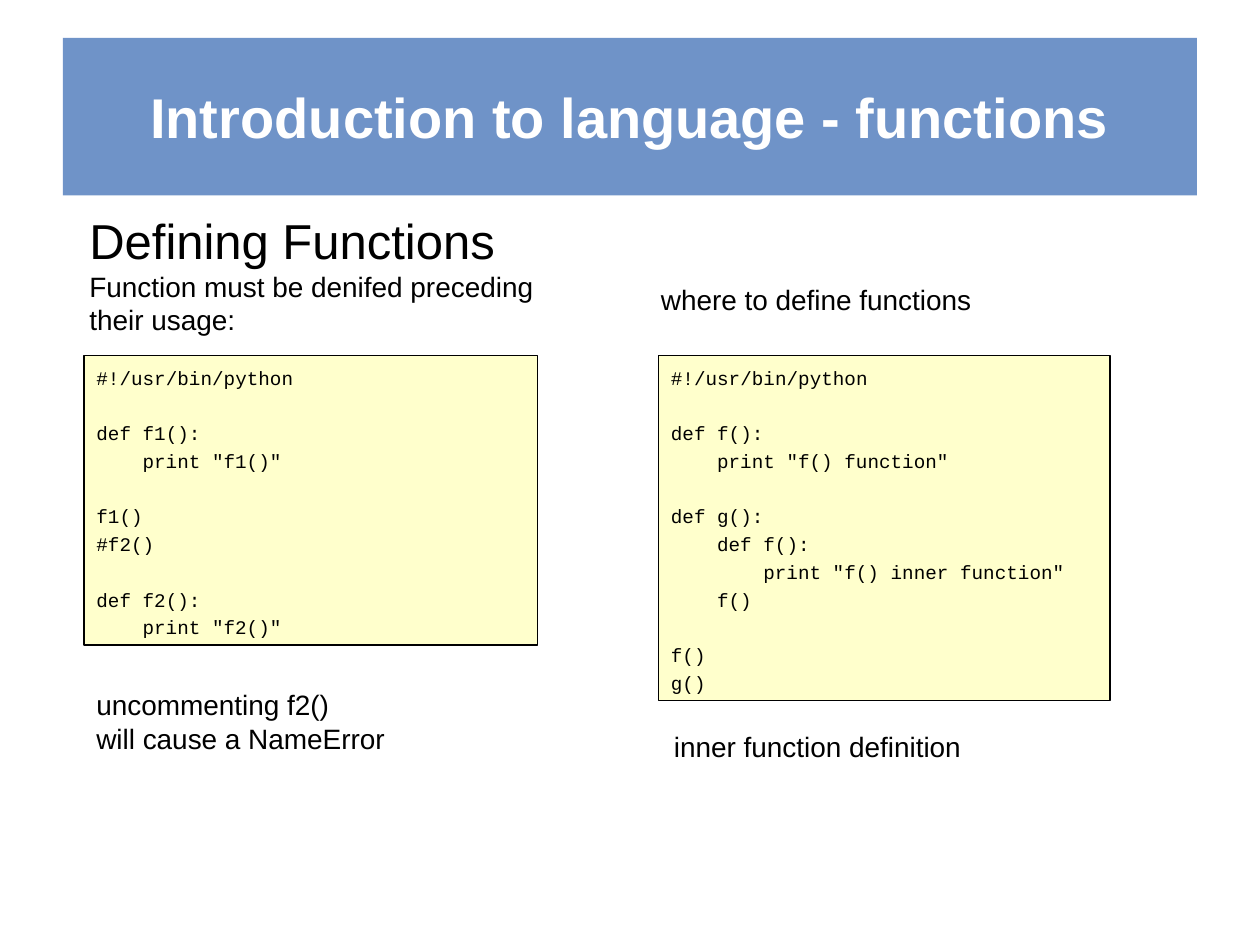
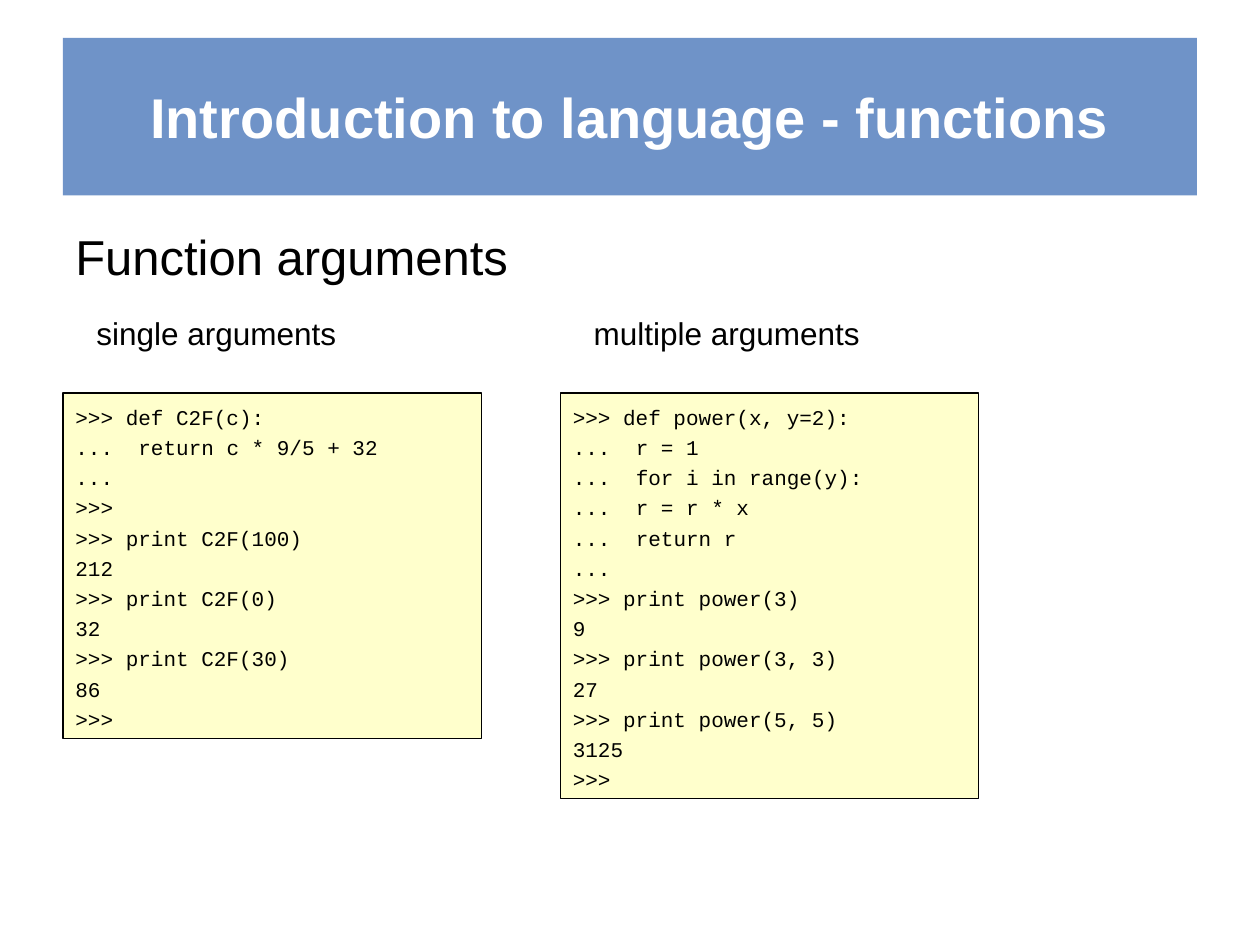
from dataclasses import dataclass

from lxml import etree
from pptx import Presentation
from pptx.dml.color import RGBColor
from pptx.enum import shapes, text
from pptx.oxml import ns
from pptx.util import Pt


@dataclass(frozen=True)
class Theme:
    band: RGBColor = RGBColor(0x47, 0x75, 0xB9)
    paper: RGBColor = RGBColor(0xFF, 0xFF, 0xCC)
    white: RGBColor = RGBColor(0xFF, 0xFF, 0xFF)
    black: RGBColor = RGBColor(0, 0, 0)
    band_alpha: int = 78000
    text_font: str = "Arial"
    code_font: str = "Courier New"
    title_size: int = 32
    heading_size: int = 28
    label_size: int = 18
    note_size: int = 16
    code_spacing: float = 1.2
    code_line: float = 1.44
    code_char: float = 0.6


theme = Theme()


def add_lines(shape, lines, font_name, color):
    frame = shape.text_frame
    frame.word_wrap = True
    frame.vertical_anchor = text.MSO_ANCHOR.TOP
    for index, (line, size, space_before) in enumerate(lines):
        paragraph = frame.add_paragraph() if index else frame.paragraphs[0]
        paragraph.text = line
        paragraph.alignment = text.PP_ALIGN.LEFT
        paragraph.space_before = Pt(space_before)
        paragraph.font.name = font_name
        paragraph.font.size = Pt(size)
        paragraph.font.color.rgb = color
    return frame.paragraphs


def add_code(slide, left, top, width, size, code):
    source_lines = code.strip().splitlines()
    height = round(len(source_lines) * size * theme.code_line + 7.2, 2)
    box = slide.shapes.add_shape(
        shapes.MSO_SHAPE.RECTANGLE, Pt(left), Pt(top), Pt(width), Pt(height))
    box.shadow.inherit = False
    box.fill.solid()
    box.fill.fore_color.rgb = theme.paper
    box.line.color.rgb = theme.black
    box.line.width = Pt(0.75)

    lines, indents, tab_stops, gap = [], [], [], 0
    for line in source_lines:
        body = line.lstrip()
        if not body:
            gap += size * theme.code_line
            continue
        indents.append((len(line) - len(body)) * size * theme.code_char)
        tab_stops.append(0)
        if body.startswith("... "):
            statement = body[3:].lstrip()
            tab_stops[-1] = (len(body) - len(statement)) * size * theme.code_char
            body = f"...\t{statement}"
        lines.append((body, size, gap))
        gap = 0

    paragraphs = add_lines(box, lines, theme.code_font, theme.black)
    for paragraph, indent, tab_stop in zip(paragraphs, indents, tab_stops):
        paragraph.line_spacing = theme.code_spacing
        properties = paragraph._p.get_or_add_pPr()
        properties.set("marL", str(Pt(indent)))
        properties.set("indent", "0")
        if tab_stop:
            tab_list = etree.Element(ns.qn("a:tabLst"))
            etree.SubElement(tab_list, ns.qn("a:tab"), pos=str(Pt(tab_stop)), algn="l")
            properties.find(ns.qn("a:defRPr")).addprevious(tab_list)


definition_code = '''
#!/usr/bin/python

def f1():
    print "f1()"

f1()
#f2()

def f2():
    print "f2()"
'''

inner_function_code = '''
#!/usr/bin/python

def f():
    print "f() function"

def g():
    def f():
        print "f() inner function"
    f()

f()
g()
'''

single_argument_code = '''
>>> def C2F(c):
...     return c * 9/5 + 32
...
>>>
>>> print C2F(100)
212
>>> print C2F(0)
32
>>> print C2F(30)
86
>>>
'''

multiple_argument_code = '''
>>> def power(x, y=2):
...     r = 1
...     for i in range(y):
...        r = r * x
...     return r
...
>>> print power(3)
9
>>> print power(3, 3)
27
>>> print power(5, 5)
3125
>>>
'''

slide_contents = [
    {
        "code_size": 11,
        "code_top": 203,
        "code": [(48, 259, definition_code), (376.3, 258, inner_function_code)],
        "texts": [
            (44, 116.6, 287, 79, [
                ("Defining Functions", theme.heading_size, 0),
                ("Function must be denifed preceding", theme.note_size, 0),
                ("their usage:", theme.note_size, 0)]),
            (48, 389.5, 266, 46, [
                ("uncommenting f2()", theme.note_size, 0),
                ("will cause a NameError", theme.note_size, 0)]),
            (370.6, 157.7, 266, 26.6, [
                ("where to define functions", theme.note_size, 0)]),
            (378, 413.5, 266, 26.6, [
                ("inner function definition", theme.note_size, 0)]),
        ],
    },
    {
        "code_size": 12,
        "code_top": 224.6,
        "code": [(36, 239, single_argument_code), (320.2, 239, multiple_argument_code)],
        "texts": [
            (36, 126, 648, 36, [("Function arguments", theme.heading_size, 7)]),
            (48, 175.7, 204.5, 36, [("single arguments", theme.label_size, 4.5)]),
            (332.2, 175.7, 204.5, 36, [("multiple arguments", theme.label_size, 4.5)]),
        ],
    },
]

presentation = Presentation()
presentation.slide_width = Pt(720)
presentation.slide_height = Pt(540)

for content in slide_contents:
    slide = presentation.slides.add_slide(presentation.slide_layouts[6])

    title = slide.shapes.add_shape(
        shapes.MSO_SHAPE.RECTANGLE, Pt(36), Pt(21.6), Pt(648), Pt(90))
    title.shadow.inherit = False
    title.line.fill.background()
    title.fill.solid()
    title.fill.fore_color.rgb = theme.band
    band_color = title.fill._xPr.find(ns.qn("a:solidFill"))[0]
    etree.SubElement(band_color, ns.qn("a:alpha"), val=str(theme.band_alpha))
    title_line = ("Introduction to language - functions", theme.title_size, 0)
    title_paragraph = add_lines(title, [title_line], theme.text_font, theme.white)[0]
    title_paragraph.alignment = text.PP_ALIGN.CENTER
    title_paragraph.font.bold = True
    title.text_frame.vertical_anchor = text.MSO_ANCHOR.MIDDLE

    for left, width, code in content["code"]:
        add_code(slide, left, content["code_top"], width, content["code_size"], code)

    for left, top, width, height, lines in content["texts"]:
        text_box = slide.shapes.add_textbox(Pt(left), Pt(top), Pt(width), Pt(height))
        add_lines(text_box, lines, theme.text_font, theme.black)

presentation.save("out.pptx")
